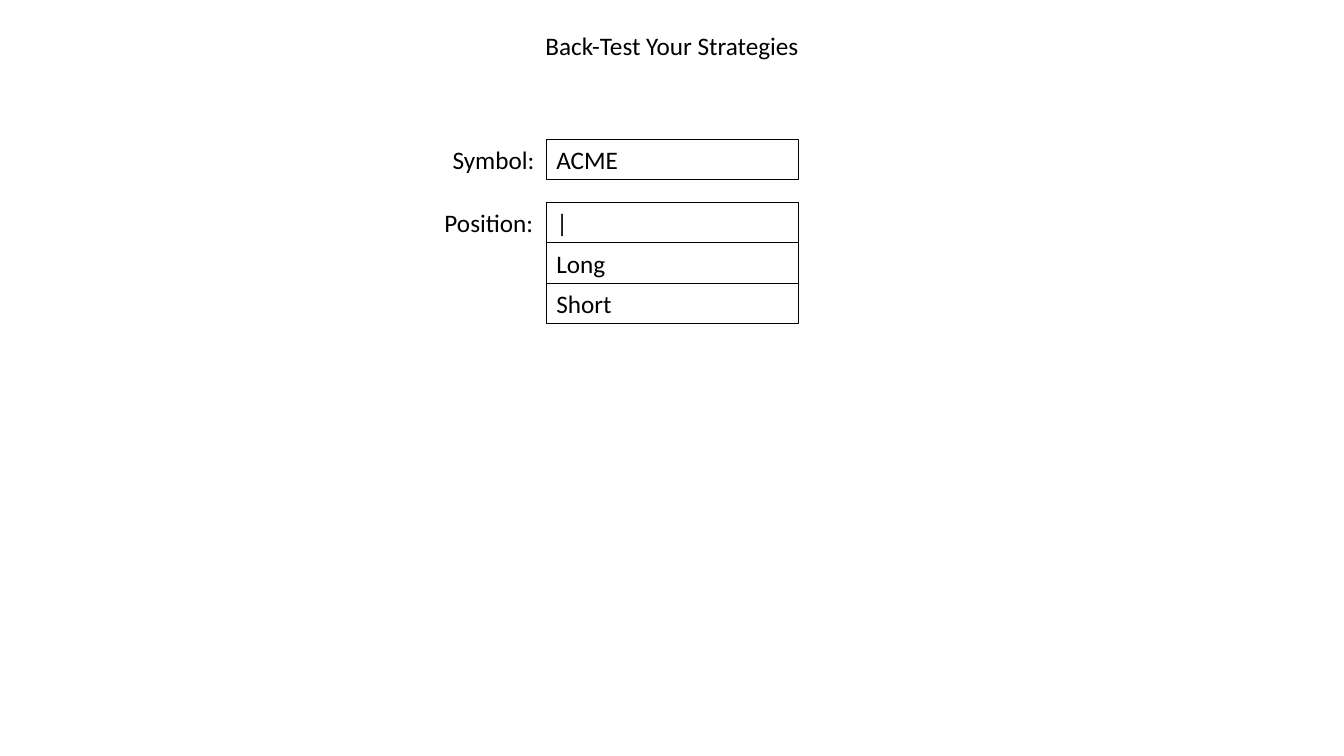
from dataclasses import dataclass

from pptx import Presentation
from pptx.dml.color import RGBColor
from pptx.enum.shapes import MSO_SHAPE as Preset
from pptx.enum.text import MSO_ANCHOR as Anchor, MSO_AUTO_SIZE as AutoSize, PP_ALIGN as Align
from pptx.util import Inches, Pt

FONT = "Calibri"
BLACK = "000000"
FIELD_LEFT, FIELD_WIDTH, ROW_HEIGHT = 5.42, 2.5, 0.4


@dataclass
class FormEntry:
    label: str
    label_width: float
    top: float
    rows: list[str]


FORM = [
    FormEntry("Symbol:", 1.03, 1.38, ["ACME"]),
    FormEntry("Position:", 1.11, 2.01, ["|", "Long", "Short"]),
]


def color(hex_code: str) -> RGBColor:
    return RGBColor.from_string(hex_code)


def write(shape, text: str, align: Align = Align.LEFT, anchor: Anchor = Anchor.TOP) -> None:
    frame = shape.text_frame
    frame.word_wrap = True
    frame.auto_size = AutoSize.SHAPE_TO_FIT_TEXT
    frame.vertical_anchor = anchor
    paragraph = frame.paragraphs[0]
    paragraph.alignment = align
    run = paragraph.add_run()
    run.text = text
    run.font.name = FONT
    run.font.size = Pt(18)
    run.font.color.rgb = color(BLACK)


def add_heading(slide, text: str) -> None:
    heading = slide.shapes.title
    heading.left, heading.top = Inches(4.8), Inches(0.25)
    heading.width, heading.height = Inches(3.73), Inches(ROW_HEIGHT)
    write(heading, text, Align.CENTER)


def add_label(slide, entry: FormEntry) -> None:
    label = slide.shapes.add_textbox(
        Inches(FIELD_LEFT - entry.label_width), Inches(entry.top),
        Inches(entry.label_width), Inches(ROW_HEIGHT))
    write(label, entry.label)


def add_field(slide, text: str, top: float) -> None:
    field = slide.shapes.add_shape(
        Preset.RECTANGLE, Inches(FIELD_LEFT), Inches(top),
        Inches(FIELD_WIDTH), Inches(ROW_HEIGHT))
    field.shadow.inherit = False
    field.fill.background()
    field.line.color.rgb = color(BLACK)
    field.line.width = Pt(0.75)
    write(field, text)


def main() -> None:
    deck = Presentation()
    deck.slide_width, deck.slide_height = Inches(13.33), Inches(7.5)
    slide = deck.slides.add_slide(deck.slide_layouts.get_by_name("Title Only"))

    # Heading
    add_heading(slide, "Back-Test Your Strategies")

    # Form: each label with its field, and any dropdown options below
    for entry in FORM:
        add_label(slide, entry)
        for index, text in enumerate(entry.rows):
            add_field(slide, text, entry.top + index * ROW_HEIGHT)

    deck.save("out.pptx")


if __name__ == "__main__":
    main()
